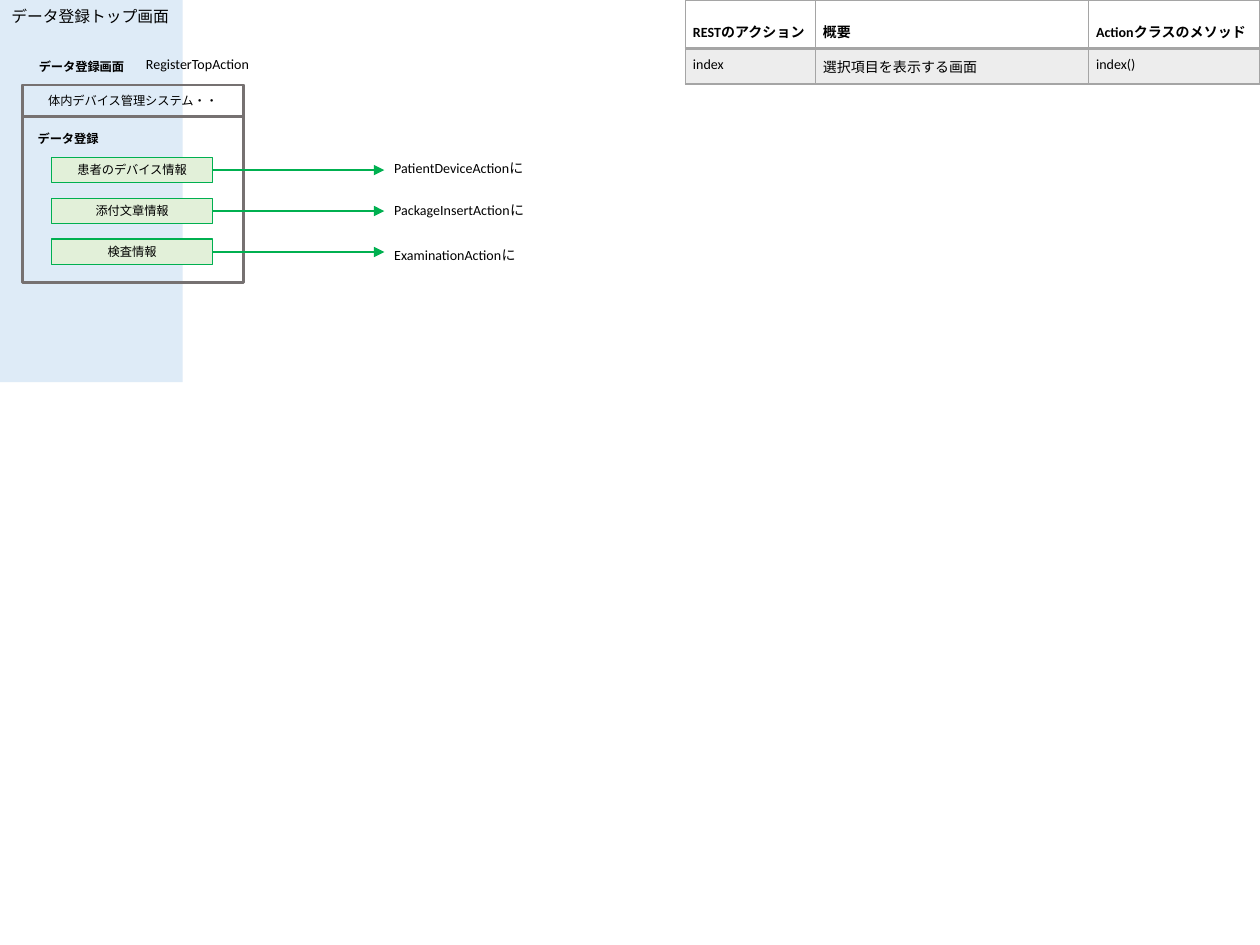
from lxml.etree import SubElement
from pptx import Presentation
from pptx.dml.color import RGBColor
from pptx.enum.shapes import MSO_CONNECTOR, MSO_SHAPE
from pptx.enum.text import MSO_ANCHOR as ANCHOR, MSO_AUTO_SIZE as AUTO_SIZE, PP_ALIGN as ALIGN
from pptx.oxml import parse_xml
from pptx.oxml.ns import nsdecls, qn
from pptx.util import Pt

FONT = "Calibri"
GREY, GREEN, PALE_GREEN = "767171", "00B050", "E2F0D9"
TITLE_BLUE, TABLE_LINE, TABLE_FILL = "DEEBF7", "A5A5A5", "EDEDED"

TITLE = "データ登録トップ画面"
SYSTEM = "体内デバイス管理システム・・"
# text, left, top, width
HEADINGS = [
    ("データ登録", 14.4, 71.3, 49.7),
    ("データ登録画面", 15.1, 30.2, 64.1),
]
ACTION_CLASS = ("RegisterTopAction", 76.3, 28.1, 85.7)
# button, target action, top of the target label
LINKS = [
    ("患者のデバイス情報", "PatientDeviceActionに", 87.8),
    ("添付文章情報", "PackageInsertActionに", 111.6),
    ("検査情報", "ExaminationActionに", 137.5),
]
ACTIONS = [
    ("RESTのアクション", "概要", "Actionクラスのメソッド"),
    ("index", "選択項目を表示する画面", "index()"),
]
COLUMN_WIDTHS = (74.2, 156.2, 97.9)
ROW_HEIGHTS = (22.3, 20.2)
TABLE_LEFT = 391.7

SCREEN = (13, 48.5, 126, 113)
BUTTON_LEFT, BUTTON_TOP, BUTTON_WIDTH, BUTTON_HEIGHT = 29.5, 90, 92, 14.4
BUTTON_PITCH = 23.4
ARROW_END, LABEL_LEFT, LABEL_WIDTH, LABEL_HEIGHT = 219.6, 218.2, 108, 17.3


def rgb(colour):
    return RGBColor.from_string(colour)


def write(frame, text, size, bold=False, align=ALIGN.LEFT):
    frame.text = text
    paragraph = frame.paragraphs[0]
    paragraph.alignment = align
    font = paragraph.font
    font.name, font.size, font.bold = FONT, Pt(size), bold
    font.color.rgb = rgb("000000")


def add_box(shapes, bounds, line, weight, fill=None, text=None):
    box = shapes.add_shape(MSO_SHAPE.RECTANGLE, *map(Pt, bounds))
    box.shadow.inherit = False
    if fill:
        box.fill.solid()
        box.fill.fore_color.rgb = rgb(fill)
    else:
        box.fill.background()
    box.line.color.rgb = rgb(line)
    box.line.width = Pt(weight)
    if text:
        box.text_frame.vertical_anchor = ANCHOR.MIDDLE
        write(box.text_frame, text, 7, align=ALIGN.CENTER)
    return box


def add_label(shapes, text, left, top, width, height, size, bold=False, wrap=True):
    frame = shapes.add_textbox(Pt(left), Pt(top), Pt(width), Pt(height)).text_frame
    frame.word_wrap = wrap
    frame.auto_size = AUTO_SIZE.SHAPE_TO_FIT_TEXT
    write(frame, text, size, bold)


def add_arrow(shapes, button):
    """Run a level arrow from the middle of the button's right side."""
    middle = button.top + button.height // 2
    arrow = shapes.add_connector(MSO_CONNECTOR.STRAIGHT, button.left + button.width, middle,
                                 Pt(ARROW_END), middle)
    arrow.begin_connect(button, 3)
    arrow.line.color.rgb = rgb(GREEN)
    arrow.line.width = Pt(1.5)
    SubElement(arrow.line._get_or_add_ln(), qn("a:tailEnd"), type="triangle")
    SubElement(arrow._element.spPr, qn("a:effectLst"))


def set_borders(cell, **weights):
    """Give the cell its side lines, which must come before its fill."""
    properties = cell._tc.get_or_add_tcPr()
    for index, side in enumerate("LRTB"):
        width = Pt(weights.get(side, 1))
        properties.insert(index, parse_xml(
            f'<a:ln{side} {nsdecls("a")} w="{width}"><a:solidFill>'
            f'<a:srgbClr val="{TABLE_LINE}"/></a:solidFill></a:ln{side}>'))


def add_action_table(shapes):
    table = shapes.add_table(len(ACTIONS), len(COLUMN_WIDTHS), Pt(TABLE_LEFT), 0,
                             Pt(sum(COLUMN_WIDTHS)), Pt(sum(ROW_HEIGHTS))).table
    for column, width in zip(table.columns, COLUMN_WIDTHS):
        column.width = Pt(width)
    for r, (texts, height) in enumerate(zip(ACTIONS, ROW_HEIGHTS)):
        table.rows[r].height = Pt(height)
        header = r == 0
        for c, text in enumerate(texts):
            cell = table.cell(r, c)
            cell.margin_left = cell.margin_right = Pt(4.3)
            cell.margin_top = cell.margin_bottom = Pt(4.3)
            cell.vertical_anchor = ANCHOR.BOTTOM if header else ANCHOR.TOP
            write(cell.text_frame, text, 8, bold=header)
            if header:
                cell.fill.background()
                set_borders(cell, B=2)
            else:
                cell.fill.solid()
                cell.fill.fore_color.rgb = rgb(TABLE_FILL)
                set_borders(cell, T=2)


def format_title(title):
    title.left, title.top, title.width, title.height = Pt(-0.7), Pt(0), Pt(105.1), Pt(18)
    title.fill.solid()
    title.fill.fore_color.rgb = rgb(TITLE_BLUE)
    frame = title.text_frame
    frame.word_wrap = False
    frame.auto_size = AUTO_SIZE.SHAPE_TO_FIT_TEXT
    frame.vertical_anchor = ANCHOR.TOP
    write(frame, TITLE, 9)


def main():
    deck = Presentation()
    deck.slide_width, deck.slide_height = Pt(720), Pt(540)
    slide = deck.slides.add_slide(deck.slide_layouts[5])
    shapes = slide.shapes
    format_title(shapes.title)

    screen = shapes.add_group_shape().shapes
    add_box(screen, SCREEN, GREY, 1.5)
    add_box(screen, (*SCREEN[:3], 18), GREY, 1.5, text=SYSTEM)
    for text, left, top, width in HEADINGS:
        add_label(screen, text, left, top, width, 15.8, 7, bold=True, wrap=False)
    buttons = [
        add_box(screen, (BUTTON_LEFT, BUTTON_TOP + i * BUTTON_PITCH, BUTTON_WIDTH, BUTTON_HEIGHT),
                GREEN, 1, PALE_GREEN, text)
        for i, (text, _, _) in enumerate(LINKS)
    ]

    add_action_table(shapes)
    for button, (_, target, top) in zip(buttons, LINKS):
        add_arrow(shapes, button)
        add_label(shapes, target, LABEL_LEFT, top, LABEL_WIDTH, LABEL_HEIGHT, 8)
    add_label(shapes, *ACTION_CLASS, LABEL_HEIGHT, 8)
    deck.save("out.pptx")


if __name__ == "__main__":
    main()
